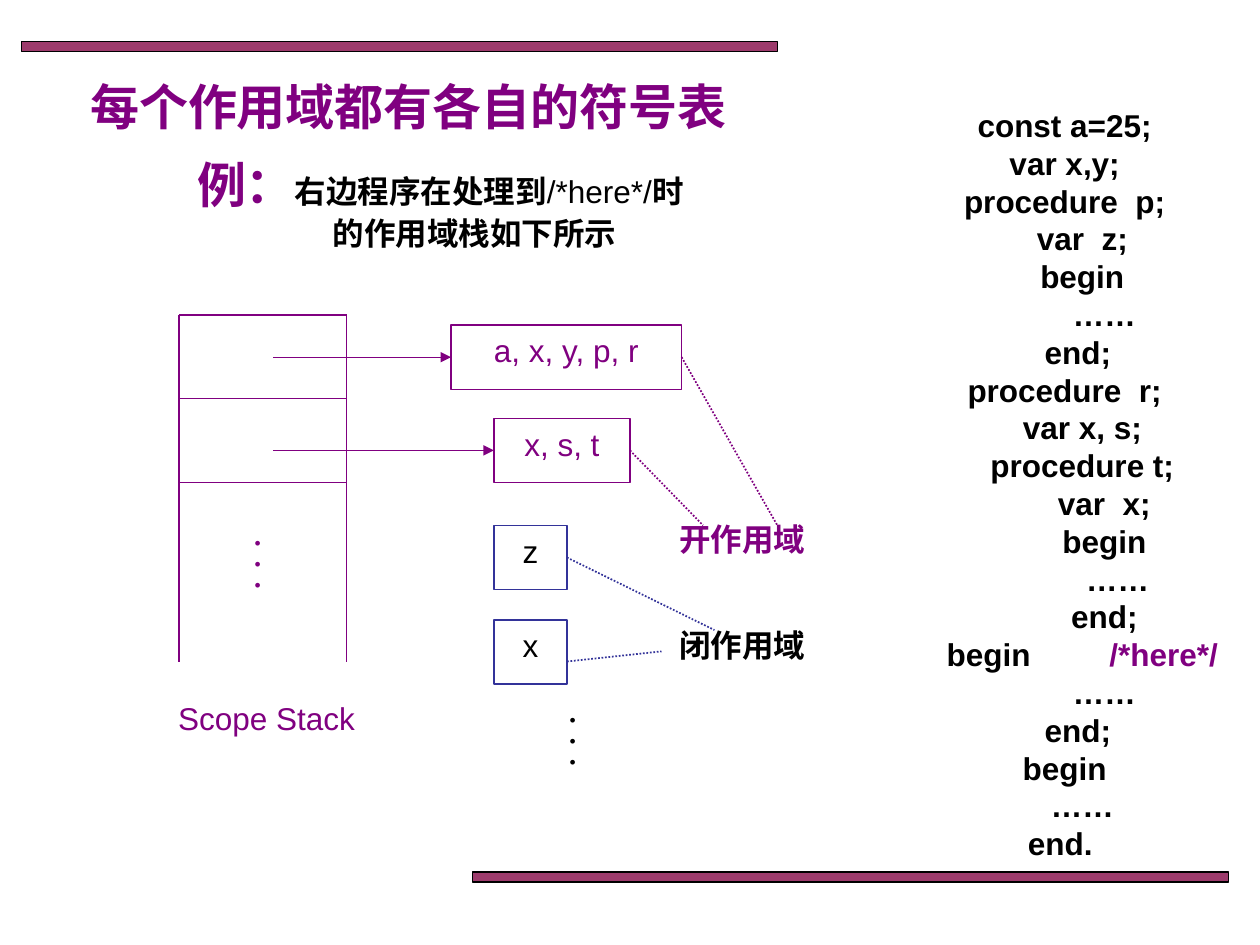
from dataclasses import dataclass

from lxml import etree
from pptx import Presentation
from pptx.dml.color import RGBColor
from pptx.enum.dml import MSO_LINE
from pptx.enum.shapes import MSO_CONNECTOR, MSO_SHAPE
from pptx.enum.text import MSO_ANCHOR, PP_ALIGN
from pptx.oxml.ns import qn
from pptx.shapes.autoshape import Shape
from pptx.shapes.connector import Connector
from pptx.slide import Slide
from pptx.util import Inches, Pt

RECTANGLE = MSO_SHAPE.RECTANGLE
STRAIGHT = MSO_CONNECTOR.STRAIGHT
DOTTED = MSO_LINE.ROUND_DOT
CENTER = PP_ALIGN.CENTER
TOP = MSO_ANCHOR.TOP
LEFT_SIDE, RIGHT_SIDE = 1, 3

PURPLE, BLACK, BLUE, PLUM = "800080", "000000", "333399", "993366"
FONT = "Arial"
SPACE_WIDTH = 0.07
STACK_LEFT, STACK_RIGHT, STACK_TOP, STACK_BOTTOM = 1.42, 2.75, 2.5, 5.25
CELL_HEIGHT = 0.665
POINTER_START = 2.17
TABLE_HEIGHT = 0.51


@dataclass
class Span:
    text: str
    size: float = 18
    color: str = BLACK
    bold: bool = False
    spacing: int = 0


@dataclass
class Line:
    spans: list[Span]
    indent: float = 0


@dataclass
class Label:
    left: float
    top: float
    width: float
    height: float
    lines: list[Line]
    wrap: bool = True


@dataclass
class SymbolTable:
    names: str
    left: float
    top: float
    width: float
    text_color: str
    line_color: str


@dataclass
class ScopeLink:
    table: int
    end: tuple[float, float]
    color: str
    start: tuple[float, float] | None = None


TITLE = Label(0.32, 0.56, 5.84, 0.57, [Line([Span("每个作用域都有各自的符号表", 28, PURPLE, True)])])
EXAMPLE = Label(0.4, 1.18, 5.76, 0.97, [
    Line([Span("例：", 28, PURPLE, True), Span("右边程序在处理到", bold=True),
          Span("/*here*/"), Span("时", bold=True)], 0.43),
    Line([Span("的作用域栈如下所示", bold=True)], 0.97),
])
LABELS = [
    TITLE,
    EXAMPLE,
    Label(1.92, 4.17, 0.25, 0.6, [Line([Span("•••", 10, PURPLE)])]),
    Label(4.42, 5.58, 0.25, 0.6, [Line([Span("•••", 10)])]),
    Label(5.12, 4.08, 1.54, 0.5, [Line([Span("开作用域", 18, PURPLE, True)])], False),
    Label(5.12, 4.92, 1.54, 0.5, [Line([Span("闭作用域", bold=True)])], False),
    Label(1.08, 5.5, 2.07, 0.5, [Line([Span("Scope Stack", 18, PURPLE)])], False),
]
PROGRAM = [
    (0, "const a=25;"), (0, "var x,y;"), (0, "procedure  p;"), (4, "var  z;"),
    (4, "begin"), (9, "……"), (3, "end;"), (0, "procedure  r;"), (4, "var x, s;"),
    (4, "procedure t;"), (9, "var  x;"), (9, "begin"), (12, "……"), (9, "end;"),
    (4, "begin /*here*/"), (9, "……"), (3, "end;"), (0, "begin"), (4, "……"), (-1, "end."),
]
TABLES = [
    SymbolTable("a, x, y, p, r", 3.58, 2.58, 1.83, PURPLE, PURPLE),
    SymbolTable("x, s, t", 3.92, 3.32, 1.08, PURPLE, PURPLE),
    SymbolTable("z", 3.92, 4.17, 0.58, BLACK, BLUE),
    SymbolTable("x", 3.92, 4.92, 0.58, BLACK, BLUE),
]
SCOPE_LINKS = [
    ScopeLink(0, (6.17, 4.17), PURPLE),
    ScopeLink(1, (5.58, 4.17), PURPLE),
    ScopeLink(2, (5.67, 5), BLUE),
    ScopeLink(3, (5.25, 5.17), BLUE, (4.5, 5.25)),
]


def rgb(color: str) -> RGBColor:
    return RGBColor.from_string(color)


def write_lines(shape: Shape, lines: list[Line], wrap: bool = True) -> None:
    frame = shape.text_frame
    frame.word_wrap = wrap
    frame.vertical_anchor = TOP
    for index, line in enumerate(lines):
        paragraph = frame.add_paragraph() if index else frame.paragraphs[0]
        paragraph.alignment = CENTER
        if line.indent:
            side = "marL" if line.indent > 0 else "marR"
            paragraph._p.get_or_add_pPr().set(side, str(Inches(abs(line.indent))))
        for span in line.spans:
            run = paragraph.add_run()
            run.text = span.text
            run.font.name = FONT
            run.font.size = Pt(span.size)
            run.font.bold = span.bold
            run.font.color.rgb = rgb(span.color)
            if span.spacing:
                run._r.get_or_add_rPr().set("spc", str(span.spacing))


def add_label(slide: Slide, label: Label) -> Shape:
    shape = slide.shapes.add_textbox(
        Inches(label.left), Inches(label.top), Inches(label.width), Inches(label.height))
    write_lines(shape, label.lines, label.wrap)
    return shape


def add_program(slide: Slide) -> None:
    lines = []
    for spaces, code in PROGRAM:
        statement, gap, comment = code.partition(" /*")
        spans = [Span(statement, bold=True)]
        if gap:
            spans += [Span(" ", bold=True, spacing=4000), Span("/*" + comment, 18, PURPLE, True)]
        lines.append(Line(spans, spaces * SPACE_WIDTH))
    shape = add_label(slide, Label(7.03, 0.85, 2.84, 6.05, lines))
    for paragraph in shape.text_frame.paragraphs:
        paragraph.line_spacing = 0.8
        paragraph.space_before = Pt(4.3)


def add_rectangle(slide: Slide, left: float, top: float, width: float, height: float,
                  line_color: str) -> Shape:
    shape = slide.shapes.add_shape(
        RECTANGLE, Inches(left), Inches(top), Inches(width), Inches(height))
    shape.shadow.inherit = False
    shape.fill.background()
    shape.line.color.rgb = rgb(line_color)
    shape.line.width = Pt(0.75)
    return shape


def add_bar(slide: Slide, left: float, top: float) -> None:
    bar = add_rectangle(slide, left, top, 6, 0.08, BLACK)
    bar.fill.solid()
    bar.fill.fore_color.rgb = rgb(PLUM)
    color = bar._element.spPr.find(qn("a:solidFill")).find(qn("a:srgbClr"))
    etree.SubElement(color, qn("a:alpha"), val="96000")


def add_table_box(slide: Slide, table: SymbolTable) -> Shape:
    box = add_rectangle(slide, table.left, table.top, table.width, TABLE_HEIGHT, table.line_color)
    write_lines(box, [Line([Span(table.names, 18, table.text_color)])])
    return box


def add_line(slide: Slide, start: tuple[float, float], end: tuple[float, float],
             color: str = PURPLE, width: float = 0.75) -> Connector:
    connector = slide.shapes.add_connector(
        STRAIGHT, Inches(start[0]), Inches(start[1]), Inches(end[0]), Inches(end[1]))
    connector.line.color.rgb = rgb(color)
    connector.line.width = Pt(width)
    etree.SubElement(connector._element.spPr, qn("a:effectLst"))
    return connector


def add_stack(slide: Slide) -> None:
    for x in (STACK_LEFT, STACK_RIGHT):
        add_line(slide, (x, STACK_TOP), (x, STACK_BOTTOM))
    for row in range(3):
        y = STACK_TOP + row * CELL_HEIGHT
        add_line(slide, (STACK_LEFT, y), (STACK_RIGHT, y))


def add_pointer(slide: Slide, table: SymbolTable, box: Shape) -> None:
    y = table.top + TABLE_HEIGHT / 2
    pointer = add_line(slide, (POINTER_START, y), (table.left, y))
    pointer.end_connect(box, LEFT_SIDE)
    etree.SubElement(pointer.line._get_or_add_ln(), qn("a:tailEnd"), type="triangle")


def add_scope_link(slide: Slide, link: ScopeLink, box: Shape) -> None:
    connector = add_line(slide, link.start or link.end, link.end, link.color, 1)
    connector.line.dash_style = DOTTED
    if link.start is None:
        connector.begin_connect(box, RIGHT_SIDE)


def main() -> None:
    presentation = Presentation()
    presentation.slide_width = Inches(10)
    presentation.slide_height = Inches(7.5)
    slide = presentation.slides.add_slide(presentation.slide_layouts[6])
    add_bar(slide, 0.17, 0.33)
    add_bar(slide, 3.75, 6.92)
    add_program(slide)
    for label in LABELS:
        add_label(slide, label)
    add_stack(slide)
    boxes = [add_table_box(slide, table) for table in TABLES]
    for table, box in zip(TABLES[:2], boxes):
        add_pointer(slide, table, box)
    for link in SCOPE_LINKS:
        add_scope_link(slide, link, boxes[link.table])
    presentation.save("out.pptx")


if __name__ == "__main__":
    main()
